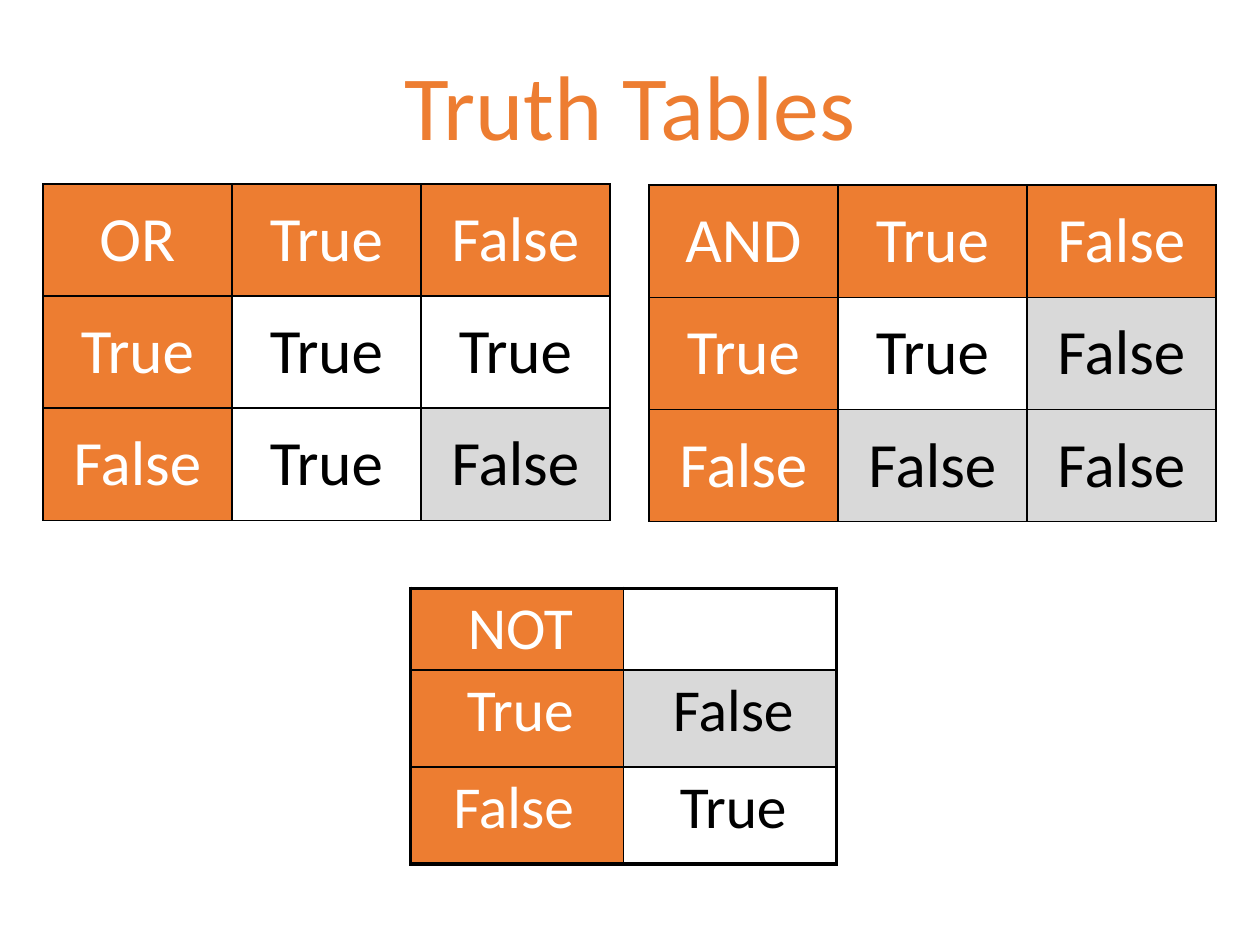
from dataclasses import dataclass

from lxml import etree
from pptx import Presentation
from pptx import util as u
from pptx.dml.color import RGBColor
from pptx.enum import text
from pptx.oxml.ns import qn


@dataclass(frozen=True)
class Theme:
    font: str = "Calibri"
    accent: str = "ED7D31"
    false_fill: str = "D9D9D9"
    light: str = "FFFFFF"
    dark: str = "000000"
    title_size: float = 52.4
    table_size: float = 36
    small_table_size: float = 34
    thin: float = 1
    thick: float = 2.25


def write(tf, content, *, font, size, color, line_spacing=None, indent=0):
    """Fill a text frame with one centred paragraph."""
    p = tf.paragraphs[0]
    p.alignment = text.PP_ALIGN.CENTER
    if line_spacing:
        p.line_spacing = line_spacing
    if indent:
        p._p.get_or_add_pPr().set("indent", str(u.Inches(indent)))
    r = p.add_run()
    r.text = content
    r.font.name = font
    r.font.size = u.Pt(size)
    r.font.color.rgb = RGBColor.from_string(color)


def set_border(cell, side, width, color):
    ln = etree.SubElement(cell._tc.get_or_add_tcPr(), qn(f"a:ln{side}"),
                          w=str(u.Pt(width)))
    fill = etree.SubElement(ln, qn("a:solidFill"))
    etree.SubElement(fill, qn("a:srgbClr"), val=color)


class SlideBuilder:
    def __init__(self, slide, theme):
        self.slide = slide
        self.theme = theme

    def title(self, content, left, top, width, height):
        box = self.slide.shapes.add_textbox(
            u.Inches(left), u.Inches(top), u.Inches(width), u.Inches(height))
        tf = box.text_frame
        tf.word_wrap = True
        tf.vertical_anchor = text.MSO_ANCHOR.MIDDLE
        tf.margin_left = tf.margin_right = tf.margin_top = tf.margin_bottom = 0
        write(tf, content, font=self.theme.font, size=self.theme.title_size,
              color=self.theme.accent, line_spacing=0.9)

    def truth_table(self, rows, left, top, col_width, row_heights, *, size,
                    outer, margin, anchor, indent=0):
        """Draw a table whose header cells are the first row and column."""
        t = self.theme
        n_rows, n_cols = len(rows), len(rows[0])
        table = self.slide.shapes.add_table(
            n_rows, n_cols, u.Inches(left), u.Inches(top),
            u.Inches(col_width * n_cols), u.Inches(sum(row_heights))).table
        table.first_row = table.horz_banding = False
        for column in table.columns:
            column.width = u.Inches(col_width)
        for i, (row, height) in enumerate(zip(rows, row_heights)):
            table.rows[i].height = u.Inches(height)
            for j, content in enumerate(row):
                cell = table.cell(i, j)
                cell.vertical_anchor = anchor
                cell.margin_left = cell.margin_right = u.Inches(margin)
                cell.margin_top = cell.margin_bottom = u.Inches(margin)
                edges = {"L": j == 0, "R": j == n_cols - 1,
                         "T": i == 0, "B": i == n_rows - 1}
                for side, is_outer in edges.items():
                    set_border(cell, side, outer if is_outer else t.thin, t.dark)
                self.fill_cell(cell, content, i == 0 or j == 0, size, indent)

    def fill_cell(self, cell, content, is_header, size, indent):
        t = self.theme
        if not content:
            cell.fill.background()
            return
        if is_header or content == "False":
            cell.fill.solid()
            cell.fill.fore_color.rgb = RGBColor.from_string(
                t.accent if is_header else t.false_fill)
        else:
            cell.fill.background()
        write(cell.text_frame, content, font=t.font, size=size, indent=indent,
              color=t.light if is_header else t.dark)


def main():
    prs = Presentation()
    prs.slide_width, prs.slide_height = u.Inches(10), u.Inches(7.5)
    theme = Theme()
    s = SlideBuilder(prs.slides.add_slide(prs.slide_layouts[6]), theme)

    s.title("Truth Tables", 0.69, 0.4, 8.62, 0.96)
    s.truth_table(
        [["NOT", ""], ["True", "False"], ["False ", "True"]],
        3.26, 4.67, 1.69, [0.64, 0.77, 0.77], size=theme.small_table_size,
        outer=theme.thick, margin=0.04, anchor=text.MSO_ANCHOR.TOP, indent=0.05)

    or_rows = [["OR", "True", "False"],
               ["True", "True", "True"],
               ["False", "True", "False"]]
    and_rows = [["AND", "True", "False"],
                ["True", "True", "False"],
                ["False", "False", "False"]]
    for rows, left, top in ((or_rows, 0.34, 1.46), (and_rows, 5.15, 1.47)):
        s.truth_table(rows, left, top, 1.5, [0.89] * 3, size=theme.table_size,
                      outer=theme.thin, margin=0.05,
                      anchor=text.MSO_ANCHOR.MIDDLE)

    prs.save("out.pptx")


if __name__ == "__main__":
    main()
